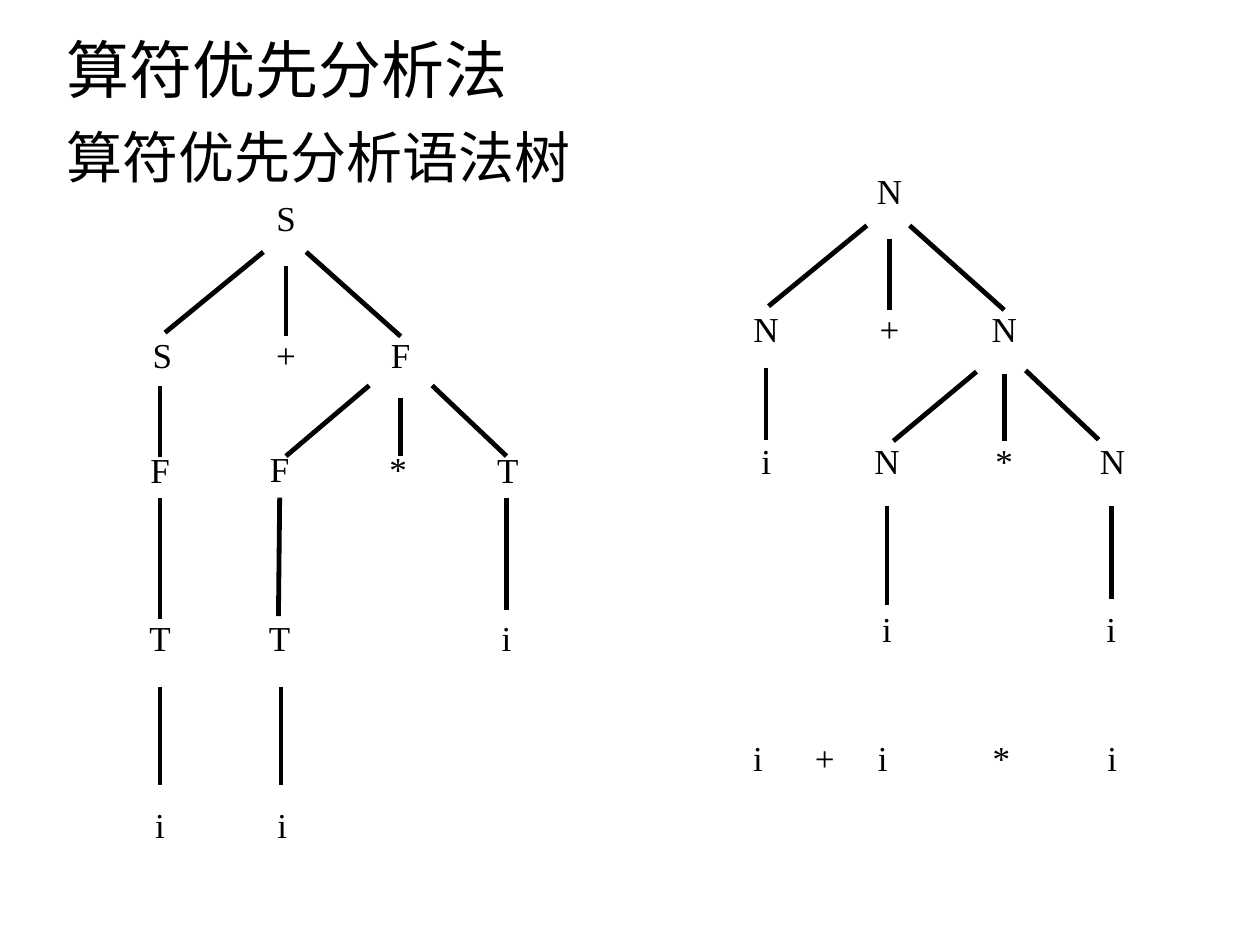
from dataclasses import dataclass

from lxml import etree
from pptx import Presentation
from pptx import util as u
from pptx.dml.color import RGBColor
from pptx.enum import shapes, text
from pptx.oxml.ns import qn


@dataclass(frozen=True)
class Theme:
    ink: RGBColor = RGBColor(0, 0, 0)
    latin: str = "Times New Roman"
    chinese: str = "Noto Sans CJK SC"
    title: float = 36
    subtitle: float = 32
    label: float = 20
    line: float = 2.75


LABEL_WIDTHS = {"N": 0.41, "T": 0.37, "*": 0.34, "i": 0.28}
LABEL_HEIGHT = 0.44

# Offsets from the top centre of a root label
ROOT_EDGES = [(-0.18, 0.49, -0.96, 1.13), (0.16, 0.49, 0.91, 1.16), (0, 0.6, 0, 1.16)]
ROOT_CHILDREN = [(-0.98, 1.09), (0, 1.09), (0.91, 1.09)]

# Labels are (text, centre x, top); edges are (x1, y1, x2, y2)
SYNTAX_LABELS = [
    ("F", 1.27, 3.51), ("F", 2.22, 3.5), ("*", 3.16, 3.5), ("T", 4.03, 3.51),
    ("T", 1.27, 4.84), ("T", 2.22, 4.84), ("i", 4.02, 4.84),
    ("i", 1.27, 6.33), ("i", 2.24, 6.33),
]
SYNTAX_EDGES = [
    (2.93, 3.06, 2.27, 3.62), (3.43, 3.06, 4.02, 3.62), (3.18, 3.16, 3.18, 3.62),
    (1.27, 3.06, 1.27, 3.63), (1.27, 3.95, 1.27, 4.91), (2.22, 3.95, 2.21, 4.89),
    (4.02, 3.95, 4.02, 4.84), (1.27, 5.45, 1.27, 6.23), (2.23, 5.45, 2.23, 6.23),
]
PRECEDENCE_LABELS = [
    ("i", 6.08, 3.44), ("N", 7.04, 3.44), ("*", 7.97, 3.44), ("N", 8.83, 3.44),
    ("i", 7.04, 4.77), ("i", 8.82, 4.77),
]
PRECEDENCE_EDGES = [
    (7.75, 2.95, 7.09, 3.5), (8.14, 2.94, 8.72, 3.49), (7.97, 2.97, 7.97, 3.5),
    (6.08, 2.92, 6.08, 3.49), (7.04, 4.02, 7.04, 4.8), (8.82, 4.02, 8.82, 4.75),
]


class Sketch:
    """Holds the theme and the page being drawn."""

    def __init__(self, page, theme):
        self.page = page
        self.theme = theme

    def format_text(self, para, size):
        for span in para.runs:
            span.font.size = u.Pt(size)
            span.font.name = self.theme.latin
            span.font.color.rgb = self.theme.ink
            east_asian = etree.Element(qn("a:ea"), typeface=self.theme.chinese)
            span.font._element.find(qn("a:latin")).addnext(east_asian)

    def title(self, words, left, top, width, height):
        box = self.page.shapes.title
        box.left, box.top = u.Inches(left), u.Inches(top)
        box.width, box.height = u.Inches(width), u.Inches(height)
        frame = box.text_frame
        frame.text = words
        frame.auto_size = text.MSO_AUTO_SIZE.NONE
        frame.vertical_anchor = text.MSO_ANCHOR.MIDDLE
        para = frame.paragraphs[0]
        para.alignment = text.PP_ALIGN.LEFT
        para.space_before = u.Pt(0)
        self.format_text(para, self.theme.title)

    def text_box(self, words, left, top, width, height, size, wrap=False):
        box = self.page.shapes.add_textbox(
            u.Inches(left), u.Inches(top), u.Inches(width), u.Inches(height))
        frame = box.text_frame
        frame.word_wrap = wrap
        frame.text = words
        para = frame.paragraphs[0]
        self.format_text(para, size)
        return para

    def label(self, words, centre, top):
        width = LABEL_WIDTHS.get(words, 0.36)
        para = self.text_box(words, centre - width / 2, top, width, LABEL_HEIGHT,
                             self.theme.label)
        para.alignment = text.PP_ALIGN.CENTER

    def edge(self, x1, y1, x2, y2):
        line = self.page.shapes.add_connector(
            shapes.MSO_CONNECTOR.STRAIGHT,
            u.Inches(x1), u.Inches(y1), u.Inches(x2), u.Inches(y2))
        line.line.color.rgb = self.theme.ink
        line.line.width = u.Pt(self.theme.line)
        etree.SubElement(line._element.spPr, qn("a:effectLst"))

    def tree(self, root, children, x, y, labels, edges):
        """Draw a root with three children at (x, y), then the lower levels."""
        self.label(root, x, y)
        for child, (dx, dy) in zip(children, ROOT_CHILDREN):
            self.label(child, x + dx, y + dy)
        for x1, y1, x2, y2 in ROOT_EDGES:
            self.edge(x + x1, y + y1, x + x2, y + y2)
        for label in labels:
            self.label(*label)
        for edge in edges:
            self.edge(*edge)

    def tabbed_row(self, symbols, stops, left, top, width):
        """Set symbols on one line, each after the first at its own tab stop."""
        para = self.text_box("\t".join(symbols), left, top, width, LABEL_HEIGHT,
                             self.theme.label, wrap=True)
        tabs = etree.SubElement(para._p.get_or_add_pPr(), qn("a:tabLst"))
        for stop in stops:
            etree.SubElement(tabs, qn("a:tab"), pos=str(u.Inches(stop)), algn="l")


def main():
    deck = Presentation()
    deck.slide_width, deck.slide_height = u.Inches(10), u.Inches(7.5)
    theme = Theme()
    sketch = Sketch(deck.slides.add_slide(deck.slide_layouts[5]), theme)
    sketch.title("算符优先分析法", 0.43, 0.18, 7.16, 0.73)
    sketch.text_box("算符优先分析语法树", 0.43, 0.92, 9.06, 6.19, theme.subtitle, wrap=True)
    sketch.tree("S", "S+F", 2.27, 1.51, SYNTAX_LABELS, SYNTAX_EDGES)
    sketch.tree("N", "N+N", 7.06, 1.3, PRECEDENCE_LABELS, PRECEDENCE_EDGES)
    sketch.tabbed_row("i+i*i", (0.49, 0.99, 1.9, 2.81), 5.88, 5.8, 3.47)
    deck.save("out.pptx")


if __name__ == "__main__":
    main()
